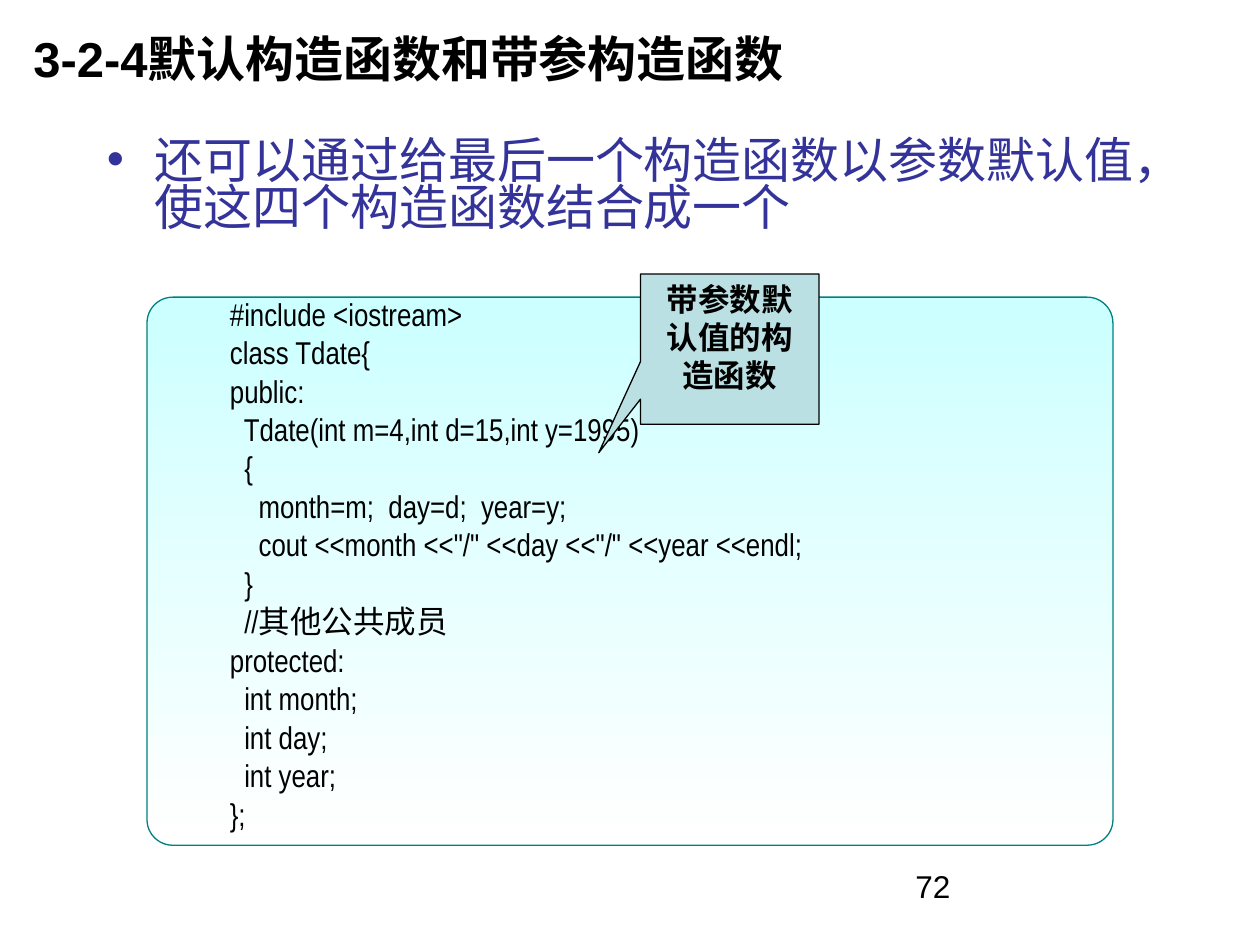
from lxml.etree import SubElement
from pptx import Presentation
from pptx.dml.color import RGBColor as Rgb
from pptx.enum.shapes import MSO_SHAPE as Shape
from pptx.enum.text import MSO_ANCHOR as Anchor, PP_ALIGN as Align
from pptx.oxml.ns import qn
from pptx.util import Inches, Pt

COLORS = {"text": "000000", "body": "333399", "edge": "008080",
          "top": "CCFFFF", "bottom": "FFFFFF", "callout": "BBE0E3"}
UNIT = 12  # grid columns and rows to the inch: 120 columns by 90 rows

CODE = """\
#include <iostream>
class Tdate{
public:
  Tdate(int m=4,int d=15,int y=1995)
  {
    month=m;  day=d;  year=y;
    cout <<month <<"/" <<day <<"/" <<year <<endl;
  }
  //其他公共成员
protected:
  int month;
  int day;
  int year;
};"""


def color(name):
    return Rgb.from_string(COLORS[name])


def grid(box):
    return [Inches(value / UNIT) for value in box]


def set_format(target, values):
    for name, value in values.items():
        setattr(target, name, value)


def indent(para, left, first=0):
    props = para._p.get_or_add_pPr()
    props.set("marL", str(Inches(left)))
    props.set("indent", str(Inches(first)))
    return props


def write(shape, lines, font, ink="text", para_format=None, gap=0, anchor=Anchor.TOP):
    """Fill a shape with one paragraph per line, spaced after the first."""
    frame = shape.text_frame
    set_format(frame, {"word_wrap": True, "vertical_anchor": anchor})
    for number, line in enumerate(lines):
        para = frame.add_paragraph() if number else frame.paragraphs[0]
        set_format(para, {"alignment": Align.LEFT, **(para_format or {})})
        if number and gap:
            para.space_before = Pt(gap)
        span = para.add_run()
        span.text = line
        set_format(span.font, font)
        span.font.color.rgb = color(ink)
    return frame.paragraphs


def add_panel(page, kind, box, edge, adjustments):
    panel = page.shapes.add_shape(kind, *grid(box))
    panel.shadow.inherit = False
    panel.line.color.rgb = color(edge)
    panel.line.width = Pt(0.75)
    for number, value in enumerate(adjustments):
        panel.adjustments[number] = value
    return panel


def add_title(page, box):
    write(page.shapes.add_textbox(*grid(box)), ["3-2-4默认构造函数和带参构造函数"],
          {"name": "Arial", "size": Pt(28), "bold": True}, anchor=Anchor.MIDDLE)


def add_point(page, box):
    text = "还可以通过给最后一个构造函数以参数默认值，使这四个构造函数结合成一个"
    para = write(page.shapes.add_textbox(*grid(box)), [text],
                 {"name": "Arial", "size": Pt(28)}, "body", {"line_spacing": 0.8})[0]
    props = indent(para, 0.38, -0.38)
    SubElement(props, qn("a:buFont")).set("typeface", "Arial")
    SubElement(props, qn("a:buChar")).set("char", "•")


def add_code(page, box):
    panel = add_panel(page, Shape.ROUNDED_RECTANGLE, box, "edge", [0.047])
    panel.fill.gradient()
    panel.fill.gradient_angle = 270  # top to bottom
    for stop, name in zip(panel.fill.gradient_stops, ("top", "bottom")):
        stop.color.rgb = color(name)
    for para in write(panel, CODE.splitlines(),
                      {"name": "Arial Narrow", "size": Pt(18), "bold": False},
                      para_format={"line_spacing": 0.5}, gap=11.2):
        indent(para, 0.5)


def add_callout(page, box):
    callout = add_panel(page, Shape.RECTANGULAR_CALLOUT, box, "text", [-0.734, 0.69])
    callout.fill.solid()
    callout.fill.fore_color.rgb = color("callout")
    write(callout, ["带参数默认值的构造函数"],
          {"name": "Arial Narrow", "size": Pt(18), "bold": True},
          para_format={"alignment": Align.CENTER})


def add_page_number(page, box):
    write(page.shapes.add_textbox(*grid(box)), ["72"], {"name": "Arial", "size": Pt(18)})


def main():
    deck = Presentation()
    deck.slide_width, deck.slide_height = grid((120, 90))
    page = deck.slides.add_slide(deck.slide_layouts[6])

    # Boxes are left, top, width, height in grid columns and rows
    add_title(page, (2, 0, 90, 11))
    add_point(page, (9, 12.8, 102, 13.2))
    add_code(page, (14, 28.3, 92, 52.2))
    add_callout(page, (61, 26.1, 17, 14.3))
    add_page_number(page, (86, 82, 28, 6.2))

    deck.save("out.pptx")


if __name__ == "__main__":
    main()
